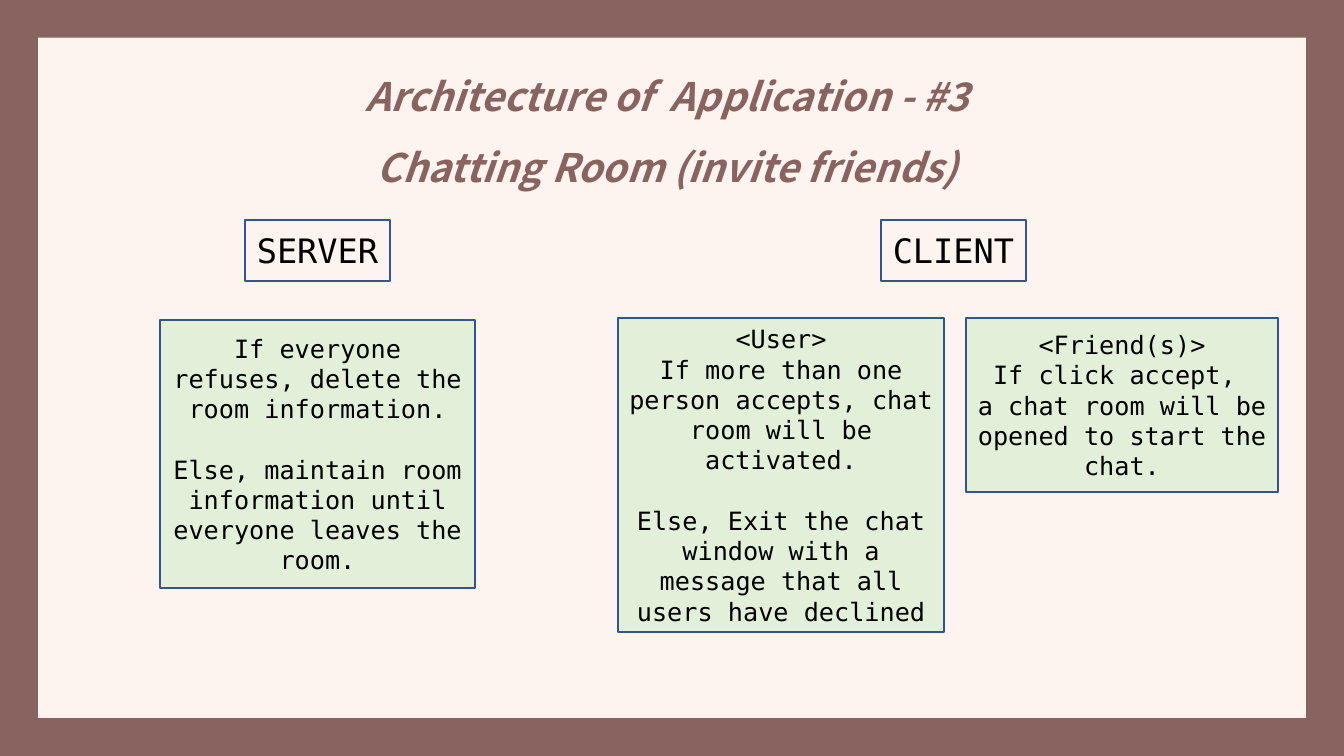
from pptx import Presentation
from pptx.dml.color import RGBColor
from pptx.enum.shapes import MSO_SHAPE
from pptx.enum.text import MSO_ANCHOR, MSO_AUTO_SIZE, PP_ALIGN
from pptx.util import Pt

FRAME, RECTANGLE = MSO_SHAPE.FRAME, MSO_SHAPE.RECTANGLE
MIDDLE, CENTER = MSO_ANCHOR.MIDDLE, PP_ALIGN.CENTER
GROW = MSO_AUTO_SIZE.SHAPE_TO_FIT_TEXT

EMU_PER_PX = 914400 / 100.8
THEME = {
    "background": RGBColor(0xFD, 0xF4, 0xEF),
    "accent": RGBColor(0x89, 0x63, 0x60),
    "step": RGBColor(0xE2, 0xF0, 0xD9),
    "outline": RGBColor(0x32, 0x54, 0x91),
    "ink": RGBColor(0, 0, 0),
    "title_font": "Noto Sans CJK KR",
    "body_font": "DejaVu Sans Mono",
    "title_size": Pt(28),
    "role_size": Pt(24),
    "step_size": Pt(18),
    "step_gap": Pt(21.6),
}


def px(*lengths):
    return [round(length * EMU_PER_PX) for length in lengths]


def add_line(paragraph, text, font, size, color):
    paragraph.alignment = CENTER
    run = paragraph.add_run()
    run.text = text
    run.font.name = font
    run.font.size = size
    run.font.color.rgb = color
    return run


deck = Presentation()
deck.slide_width, deck.slide_height = px(1344, 756)
slide = deck.slides.add_slide(deck.slide_layouts[6])
slide.background.fill.solid()
slide.background.fill.fore_color.rgb = THEME["background"]

border = slide.shapes.add_shape(FRAME, *px(0, 0, 1344, 756))
border.adjustments[0] = 0.05
border.shadow.inherit = False
border.fill.solid()
border.fill.fore_color.rgb = THEME["accent"]
border.line.fill.background()

ROLE_TOP, ROLE_WIDTH, ROLE_HEIGHT = 220, 145, 61
CLIENT_TOP = 318
boxes = [
    ((160, 320, 315, 268), "step", [
        ("If everyone refuses, delete the room information.", False),
        ("Else, maintain room information until everyone leaves the room.", True),
    ]),
    ((245, ROLE_TOP, ROLE_WIDTH, ROLE_HEIGHT), "role", [("SERVER", False)]),
    ((881, ROLE_TOP, ROLE_WIDTH, ROLE_HEIGHT), "role", [("CLIENT", False)]),
    ((618, CLIENT_TOP, 326, 314), "step", [
        ("<User>", False),
        ("If more than one person accepts, chat room will be activated.", False),
        ("Else, Exit the chat window with a message that all users have declined", True),
    ]),
    ((966, CLIENT_TOP, 312, 174), "step", [
        ("<Friend(s)>", False),
        ("If click accept, ", False),
        ("a chat room will be opened to start the chat.", False),
    ]),
]

for bounds, kind, lines in boxes:
    box = slide.shapes.add_shape(RECTANGLE, *px(*bounds))
    box.shadow.inherit = False
    if kind == "step":
        box.fill.solid()
        box.fill.fore_color.rgb = THEME["step"]
    else:
        box.fill.background()
    box.line.color.rgb = THEME["outline"]
    box.line.width = Pt(1)
    frame = box.text_frame
    frame.word_wrap = True
    frame.vertical_anchor = MIDDLE
    for index, (text, gap_above) in enumerate(lines):
        paragraph = frame.add_paragraph() if index else frame.paragraphs[0]
        if gap_above:
            paragraph.space_before = THEME["step_gap"]
        add_line(paragraph, text, THEME["body_font"], THEME[f"{kind}_size"], THEME["ink"])

title = slide.shapes.add_textbox(*px(339, 44, 656, 143)).text_frame
title.word_wrap = True
title.auto_size = GROW
heading = title.paragraphs[0]
heading.line_spacing = 1.5
heading_run = add_line(
    heading,
    "Architecture of  Application - #3 Chatting Room (invite friends)",
    THEME["title_font"], THEME["title_size"], THEME["accent"],
)
heading_run.font.bold = True
heading_run.font.italic = True

deck.save("out.pptx")
